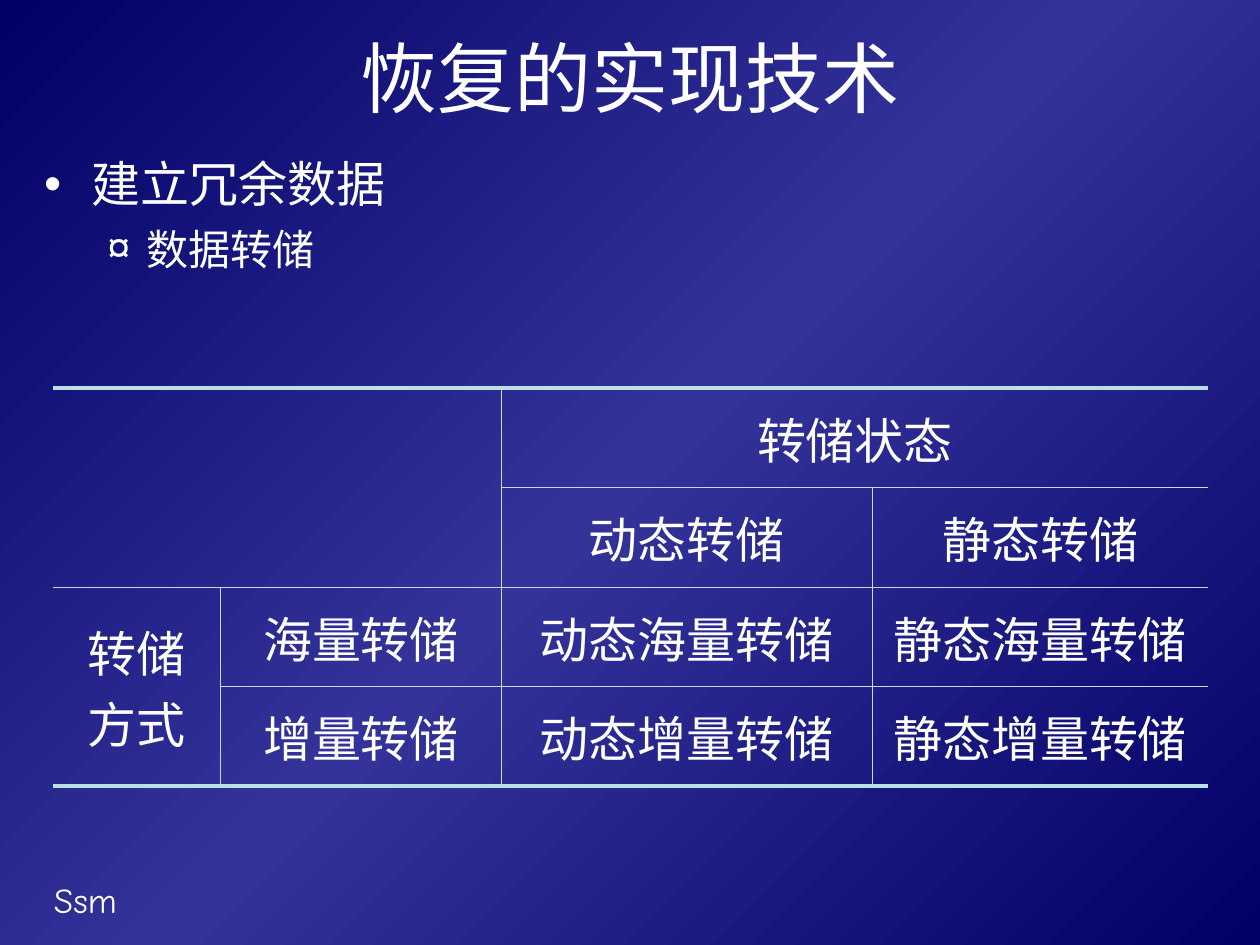
from copy import deepcopy

from pptx import Presentation
from pptx import util as u
from pptx.dml.color import RGBColor
from pptx.enum import text
from pptx.oxml import ns
from pptx.oxml.xmlchemy import OxmlElement

WHITE = "FFFFFF"
RULE = "BBE0E3"
COLUMNS = [1.33, 2.23, 2.94, 2.67]
ROW_HEIGHT = 0.79
CELLS = [
    ["", "", "转储状态", ""],
    ["", "", "动态转储", "静态转储"],
    ["转储方式", "海量转储", "动态海量转储", "静态海量转储"],
    ["", "增量转储", "动态增量转储", "静态增量转储"],
]
MERGES = [((0, 0), (1, 1)), ((0, 2), (0, 3)), ((2, 0), (3, 0))]


def color(value):
    return RGBColor.from_string(value)


def paint_background(page):
    fill = page.background.fill
    fill.gradient()
    fill.gradient_angle = 135
    stop_list = page.element.find(".//" + ns.qn("a:gsLst"))
    stop_list.insert(1, deepcopy(stop_list[0]))
    stops = [(0, "000066"), (0.5, "333399"), (1, "000066")]
    for stop, (position, value) in zip(fill.gradient_stops, stops):
        stop.position = position
        stop.color.rgb = color(value)


def place(box, left, top, width, height):
    box.left, box.top = u.Inches(left), u.Inches(top)
    box.width, box.height = u.Inches(width), u.Inches(height)


def add_span(para, words, size, font="Arial"):
    span = para.add_run()
    span.text = words
    span.font.size = u.Pt(size)
    span.font.name = font
    span.font.bold = False
    span.font.color.rgb = color(WHITE)


def add_bullet(para, mark, margin, hang):
    properties = para._p.get_or_add_pPr()
    properties.set("marL", str(u.Inches(margin)))
    properties.set("indent", str(-u.Inches(hang)))
    bullet_color = OxmlElement("a:buClr")
    shade = OxmlElement("a:srgbClr")
    shade.set("val", WHITE)
    bullet_color.append(shade)
    bullet_font = OxmlElement("a:buFont")
    bullet_font.set("typeface", "Arial")
    bullet = OxmlElement("a:buChar")
    bullet.set("char", mark)
    properties.extend([bullet_color, bullet_font, bullet])


def add_title(page, words):
    box = page.shapes.title
    place(box, 0.5, 0.17, 9, 0.87)
    frame = box.text_frame
    frame.auto_size = text.MSO_AUTO_SIZE.NONE
    frame.vertical_anchor = text.MSO_ANCHOR.MIDDLE
    para = frame.paragraphs[0]
    para.alignment = text.PP_ALIGN.CENTER
    add_span(para, words, 44)


def add_outline(page):
    box = page.placeholders[1]
    place(box, 0.25, 1.17, 9.5, 5.75)
    frame = box.text_frame
    frame.auto_size = text.MSO_AUTO_SIZE.NONE
    first, second = frame.paragraphs[0], frame.add_paragraph()
    add_bullet(first, "•", 0.38, 0.38)
    first.space_before = u.Pt(0)
    add_span(first, "建立冗余数据", 28)
    second.level = 1
    add_bullet(second, "¤", 0.81, 0.31)
    second.space_before = u.Pt(6)
    add_span(second, "数据转储", 24)


def add_border(cell, side, width):
    line = OxmlElement("a:ln" + side)
    line.set("w", str(u.Pt(width)))
    fill = OxmlElement("a:solidFill" if width else "a:noFill")
    if width:
        shade = OxmlElement("a:srgbClr")
        shade.set("val", RULE)
        fill.append(shade)
    line.append(fill)
    cell._tc.get_or_add_tcPr().append(line)


def format_cell(cell, row, column, words):
    last_row = row + cell.span_height == len(CELLS)
    last_column = column + cell.span_width == len(COLUMNS)
    add_border(cell, "L", 0.45 if column else 0)
    add_border(cell, "R", 0 if last_column else 0.45)
    add_border(cell, "T", 0.45 if row else 3)
    add_border(cell, "B", 3 if last_row else 0.45)
    cell.fill.background()
    cell.vertical_anchor = text.MSO_ANCHOR.MIDDLE
    if words:
        para = cell.text_frame.paragraphs[0]
        para.alignment = text.PP_ALIGN.CENTER
        add_span(para, words, 28)


def add_dump_table(page):
    frame = page.shapes.add_table(
        len(CELLS), len(COLUMNS), u.Inches(0.42), u.Inches(3.08),
        u.Inches(sum(COLUMNS)), u.Inches(ROW_HEIGHT * len(CELLS)))
    table = frame.table
    table.first_row = table.horz_banding = False
    for column, width in zip(table.columns, COLUMNS):
        column.width = u.Inches(width)
    for row in table.rows:
        row.height = u.Inches(ROW_HEIGHT)
    for start, end in MERGES:
        table.cell(*start).merge(table.cell(*end))
    for row, entries in enumerate(CELLS):
        for column, words in enumerate(entries):
            format_cell(table.cell(row, column), row, column, words)


def add_signature(page, words):
    box = page.shapes.add_textbox(
        u.Inches(0.33), u.Inches(6.92), u.Inches(2.08), u.Inches(0.44))
    box.text_frame.word_wrap = True
    box.text_frame.auto_size = text.MSO_AUTO_SIZE.SHAPE_TO_FIT_TEXT
    add_span(box.text_frame.paragraphs[0], words, 20, "Comic Neue")


def main():
    deck = Presentation()
    deck.slide_width, deck.slide_height = u.Inches(10), u.Inches(7.5)
    page = deck.slides.add_slide(deck.slide_layouts[1])
    paint_background(page)
    add_signature(page, "Ssm")
    add_title(page, "恢复的实现技术")
    add_outline(page)
    add_dump_table(page)
    deck.save("out.pptx")


if __name__ == "__main__":
    main()
